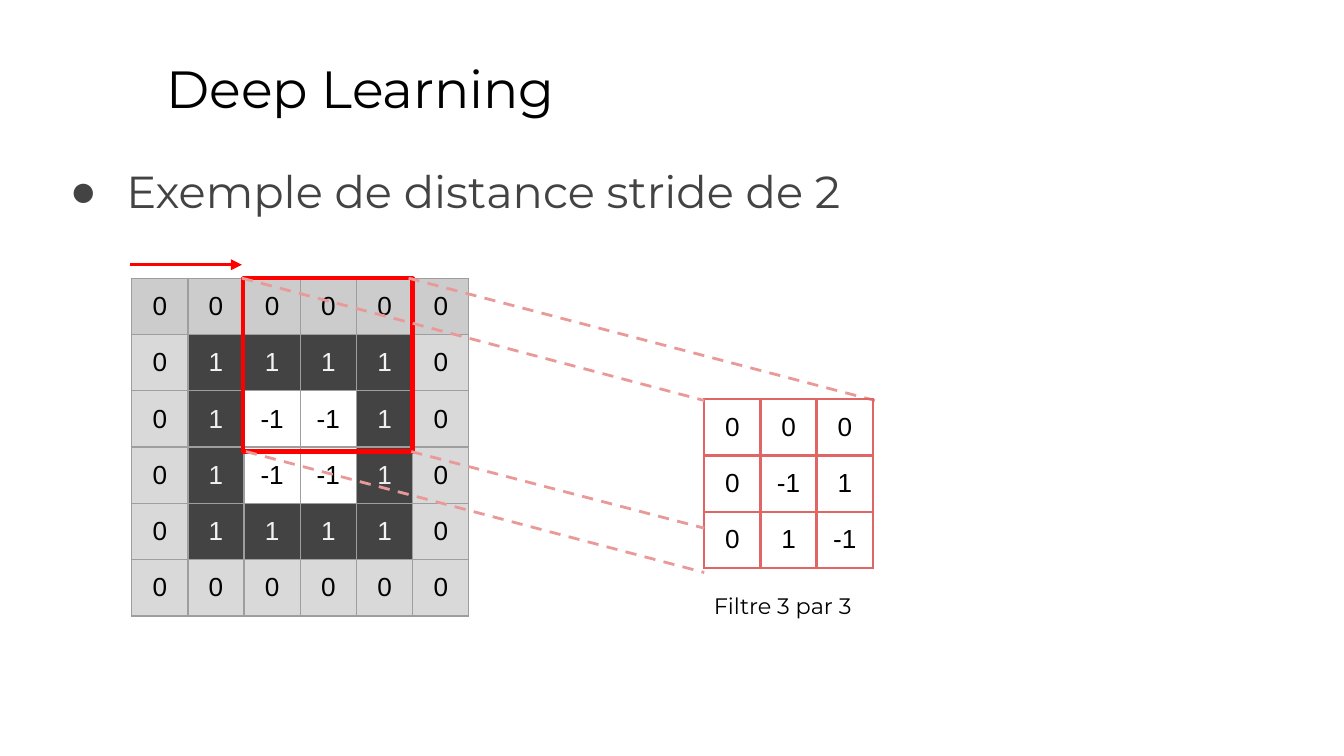
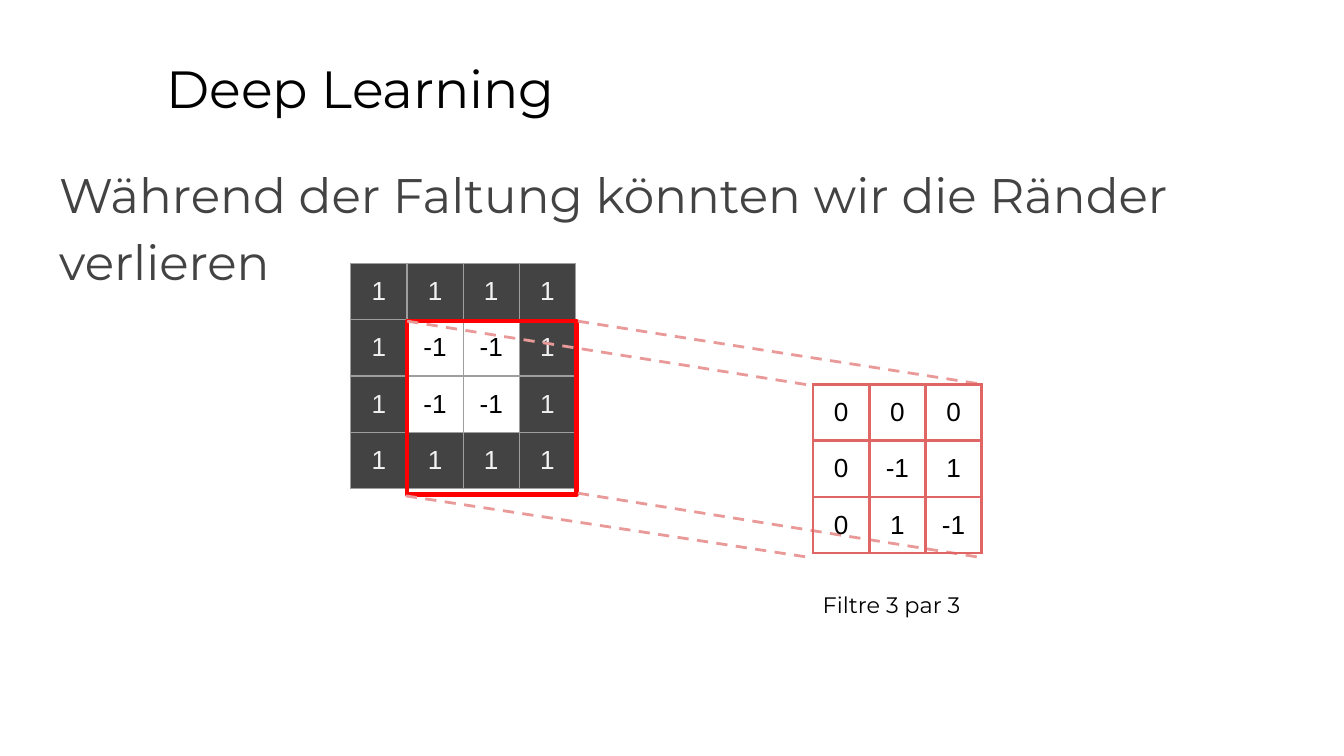
from dataclasses import dataclass

from lxml.etree import SubElement
from pptx import Presentation
from pptx.dml.color import RGBColor
from pptx.enum.dml import MSO_LINE
from pptx.enum.shapes import MSO_CONNECTOR, MSO_SHAPE
from pptx.enum.text import MSO_ANCHOR, MSO_AUTO_SIZE, PP_ALIGN
from pptx.oxml.ns import qn
from pptx.slide import Slide
from pptx.util import Inches, Pt


@dataclass(frozen=True)
class Theme:
    heading_font: str = "Montserrat"
    cell_font: str = "Arial"
    title_size: int = 28
    cell_size: int = 14
    caption_size: int = 12
    black: str = "000000"
    white: str = "FFFFFF"
    dark: str = "434343"
    edge_text: str = "F3F3F3"
    side_text: str = "EFEFEF"
    padding: str = "D9D9D9"
    padding_top: str = "CCCCCC"
    grid_line: str = "9E9E9E"
    filter_line: str = "E06666"
    projection: str = "EA9999"
    accent: str = "FF0000"


THEME = Theme()
CELL_WIDTH, ROW_HEIGHT = 2.51 / 6, 0.4
INSET = 0.1
INPUT = ["1 1 1 1", "1 -1 -1 1", "1 -1 -1 1", "1 1 1 1"]
PADDED = ["0 0 0 0 0 0", *(f"0 {row} 0" for row in INPUT), "0 0 0 0 0 0"]
FILTER = ["0 0 0", "0 -1 1", "0 1 -1"]
Point = tuple[float, float]


@dataclass(frozen=True)
class Line:
    start: Point
    end: Point


@dataclass(frozen=True)
class Convolution:
    statement: str
    statement_size: int
    bulleted: bool
    grid: list[str]
    grid_at: Point
    window_at: Point
    filter_at: Point
    caption_at: Point
    lines_behind: list[Line]
    lines_in_front: list[Line]
    stride: Line | None = None


PAGES = [
    Convolution(
        "Exemple de distance stride de 2", 24, True,
        PADDED, (0.98, 2.07), (1.81, 2.07), (5.24, 2.97), (5.15, 4.31),
        [Line((3.04, 2.07), (6.51, 2.98))],
        [Line((1.8, 2.07), (5.24, 2.98)),
         Line((1.83, 3.36), (5.24, 4.26)),
         Line((3.06, 3.36), (5.24, 3.93))],
        Line((0.97, 1.97), (1.8, 1.97)),
    ),
    Convolution(
        "Während der Faltung könnten wir die Ränder verlieren", 26, False,
        INPUT, (2.61, 1.96), (3.03, 2.39), (6.05, 2.86), (5.96, 4.3),
        [Line((4.3, 2.39), (7.31, 2.86)),
         Line((3.03, 2.39), (6.05, 2.87)),
         Line((3.02, 3.69), (6.04, 4.15)),
         Line((4.3, 3.67), (7.31, 4.15))],
        [],
    ),
]


def rgb(color: str) -> RGBColor:
    return RGBColor.from_string(color)


def write(para, text: str, *, size: int, font: str = THEME.heading_font,
          color: str = THEME.black, align=PP_ALIGN.LEFT) -> None:
    para.alignment = align
    span = para.add_run()
    span.text = text
    span.font.size = Pt(size)
    span.font.name = font
    span.font.color.rgb = rgb(color)


def prepare_frame(box, right: float = INSET):
    """Set insets, wrapping and top anchoring; return the first paragraph."""
    frame = box.text_frame
    frame.margin_left = frame.margin_top = frame.margin_bottom = Inches(INSET)
    frame.margin_right = Inches(right)
    frame.word_wrap = True
    frame.auto_size = MSO_AUTO_SIZE.NONE
    frame.vertical_anchor = MSO_ANCHOR.TOP
    return frame.paragraphs[0]


def place(box, left: float, top: float, width: float, height: float) -> None:
    box.left, box.top = Inches(left), Inches(top)
    box.width, box.height = Inches(width), Inches(height)


def set_bullet(para, bulleted: bool) -> None:
    props = para._p.get_or_add_pPr()
    props.set("marL", str(Inches(0.5) if bulleted else 0))
    props.set("indent", str(Inches(-0.42) if bulleted else 0))
    if bulleted:
        SubElement(SubElement(props, qn("a:buClr")), qn("a:srgbClr"), val=THEME.dark)
        SubElement(props, qn("a:buFont"), typeface=THEME.cell_font)
        SubElement(props, qn("a:buChar"), char="●")
    else:
        SubElement(props, qn("a:buNone"))


def add_heading(page: Slide, content: Convolution) -> None:
    title, body = page.shapes.title, page.placeholders[1]
    place(title, 1.14, 0.32, 8.52, 0.63)
    write(prepare_frame(title), "Deep Learning", size=THEME.title_size)

    place(body, 0.34, 1.06, 9.32, 0.68)
    para = prepare_frame(body)
    set_bullet(para, content.bulleted)
    para.line_spacing = 1.15
    para.space_before = Pt(0)
    para.space_after = Pt(0 if content.bulleted else 16)
    write(para, content.statement, size=content.statement_size, color=THEME.dark)


def set_borders(cell, color: str, width: float) -> None:
    props = cell._tc.get_or_add_tcPr()
    for side in ("lnL", "lnR", "lnT", "lnB"):
        line = SubElement(props, qn(f"a:{side}"), w=str(Pt(width)))
        SubElement(SubElement(line, qn("a:solidFill")), qn("a:srgbClr"), val=color)


def image_colors(value: str, row: list[str], is_top: bool) -> tuple[str | None, str]:
    """Return the fill and text colours of one input cell."""
    if value == "0":
        return (THEME.padding_top if is_top else THEME.padding), THEME.black
    if value == "1":
        return THEME.dark, (THEME.side_text if "-1" in row else THEME.edge_text)
    return None, THEME.black


def add_matrix(page: Slide, rows: list[str], at: Point, border: str,
               border_width: float, shaded: bool) -> None:
    values = [row.split() for row in rows]
    count = len(values)
    table = page.shapes.add_table(
        count, count, Inches(at[0]), Inches(at[1]),
        Inches(count * CELL_WIDTH), Inches(count * ROW_HEIGHT)).table
    table.first_row = table.horz_banding = False
    for r, row in enumerate(values):
        for c, value in enumerate(row):
            cell = table.cell(r, c)
            fill, color = image_colors(value, row, r == 0) if shaded else (None, THEME.black)
            cell.margin_left = cell.margin_right = Inches(INSET)
            cell.margin_top = cell.margin_bottom = Inches(INSET)
            set_borders(cell, border, border_width)
            if fill:
                cell.fill.solid()
                cell.fill.fore_color.rgb = rgb(fill)
            else:
                cell.fill.background()
            write(cell.text_frame.paragraphs[0], value, size=THEME.cell_size,
                  font=THEME.cell_font, color=color, align=PP_ALIGN.CENTER)


def add_window(page: Slide, at: Point) -> None:
    window = page.shapes.add_shape(
        MSO_SHAPE.RECTANGLE, Inches(at[0]), Inches(at[1]), Inches(1.26), Inches(1.29))
    window.shadow.inherit = False
    window.fill.background()
    window.line.color.rgb = rgb(THEME.accent)
    window.line.width = Pt(2.25)


def add_line(page: Slide, line: Line, color: str = THEME.projection,
             arrow: bool = False) -> None:
    connector = page.shapes.add_connector(
        MSO_CONNECTOR.STRAIGHT, *map(Inches, line.start + line.end))
    connector.line.color.rgb = rgb(color)
    connector.line.width = Pt(1.5)
    if arrow:
        outline = connector._element.spPr.find(qn("a:ln"))
        SubElement(outline, qn("a:tailEnd"), type="triangle")
    else:
        connector.line.dash_style = MSO_LINE.DASH
    SubElement(connector._element.spPr, qn("a:effectLst"))


def add_caption(page: Slide, at: Point) -> None:
    box = page.shapes.add_textbox(
        Inches(at[0]), Inches(at[1]), Inches(1.44), Inches(0.43))
    write(prepare_frame(box, right=0.19), "Filtre 3 par 3",
          size=THEME.caption_size, align=PP_ALIGN.CENTER)


def add_page(deck, content: Convolution) -> None:
    page = deck.slides.add_slide(deck.slide_layouts[1])
    page.background.fill.solid()
    page.background.fill.fore_color.rgb = rgb(THEME.white)
    add_heading(page, content)
    add_matrix(page, content.grid, content.grid_at, THEME.grid_line, 0.75, shaded=True)
    add_window(page, content.window_at)
    for line in content.lines_behind:
        add_line(page, line)
    add_matrix(page, FILTER, content.filter_at, THEME.filter_line, 1.5, shaded=False)
    add_caption(page, content.caption_at)
    for line in content.lines_in_front:
        add_line(page, line)
    if content.stride:
        add_line(page, content.stride, THEME.accent, arrow=True)


def main() -> None:
    deck = Presentation()
    deck.slide_width = Inches(10)
    deck.slide_height = Inches(10) * 9 // 16
    for content in PAGES:
        add_page(deck, content)
    deck.save("out.pptx")


if __name__ == "__main__":
    main()
